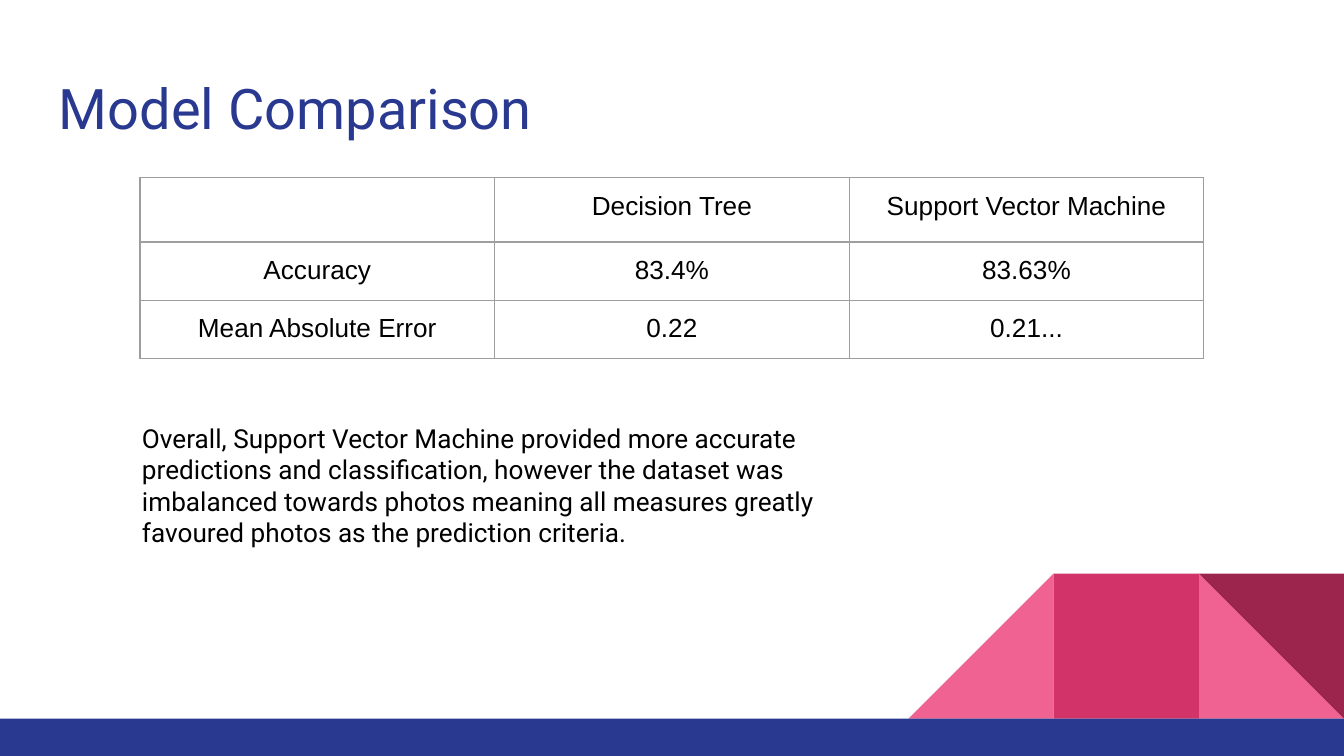
from lxml.etree import SubElement
from pptx import Presentation
from pptx.dml.color import RGBColor
from pptx.enum.shapes import MSO_SHAPE as Shape
from pptx.enum.text import MSO_ANCHOR as Anchor, PP_ALIGN as Align
from pptx.oxml.ns import qn
from pptx.util import Pt

WHITE = RGBColor(0xFF, 0xFF, 0xFF)
BLACK = RGBColor(0x00, 0x00, 0x00)
NAVY = RGBColor(0x2A, 0x39, 0x90)
PINK = RGBColor(0xF0, 0x62, 0x92)
ROSE = RGBColor(0xD2, 0x33, 0x69)
MAROON = RGBColor(0x9C, 0x25, 0x4D)
GRAY = RGBColor(0x9E, 0x9E, 0x9E)

SLIDE_W, SLIDE_H = Pt(720), Pt(405)
INSET = Pt(7.2)
SCORES = [
    ["", "Decision Tree", "Support Vector Machine"],
    ["Accuracy", "83.4%", "83.63%"],
    ["Mean Absolute Error", "0.22", "0.21..."],
]
CONCLUSION = (
    "Overall, Support Vector Machine provided more accurate predictions and "
    "classification, however the dataset was imbalanced towards photos meaning "
    "all measures greatly favoured photos as the prediction criteria."
)


def set_font(font, name, size, color):
    font.name, font.size, font.color.rgb = name, Pt(size), color


def add_block(slide, kind, left, top, width, height, color, rotation=0):
    block = slide.shapes.add_shape(kind, left, top, width, height)
    block.shadow.inherit = False
    block.fill.solid()
    block.fill.fore_color.rgb = color
    block.line.fill.background()
    block.rotation = rotation


def add_decoration(slide, left, top, side):
    """Three square tiles in a row, the last one split along its diagonal."""
    tiles = [
        (2, Shape.RIGHT_TRIANGLE, PINK, 0),
        (0, Shape.RIGHT_TRIANGLE, PINK, 270),
        (1, Shape.RECTANGLE, ROSE, 0),
        (2, Shape.RIGHT_TRIANGLE, MAROON, 180),
    ]
    for column, kind, color, rotation in tiles:
        add_block(slide, kind, left + column * side, top, side, side, color, rotation)


def add_text(slide, left, top, width, height, text, size, color):
    frame = slide.shapes.add_textbox(left, top, width, height).text_frame
    frame.word_wrap = True
    frame.vertical_anchor = Anchor.TOP
    frame.margin_left = frame.margin_right = INSET
    frame.margin_top = frame.margin_bottom = INSET
    paragraph = frame.paragraphs[0]
    paragraph.text = text
    set_font(paragraph.font, "Roboto", size, color)


def add_borders(cell):
    properties = cell._tc.get_or_add_tcPr()
    for position, side in enumerate(("a:lnL", "a:lnR", "a:lnT", "a:lnB")):
        border = SubElement(properties, qn(side), w=str(Pt(0.75)))
        fill = SubElement(border, qn("a:solidFill"))
        SubElement(fill, qn("a:srgbClr"), val=str(GRAY))
        properties.insert(position, border)


def add_score_table(slide, left, top, width, row_heights):
    columns = len(SCORES[0])
    table = slide.shapes.add_table(
        len(SCORES), columns, left, top, width, sum(row_heights)
    ).table
    table.first_row = table.horz_banding = False
    for column in table.columns:
        column.width = width // columns
    for row, height, labels in zip(table.rows, row_heights, SCORES):
        row.height = height
        for cell, label in zip(row.cells, labels):
            cell.fill.solid()
            cell.fill.fore_color.rgb = WHITE
            cell.margin_left = cell.margin_right = INSET
            cell.margin_top = cell.margin_bottom = INSET
            paragraph = cell.text_frame.paragraphs[0]
            paragraph.text = label
            paragraph.alignment = Align.CENTER
            set_font(paragraph.font, "Arial", 14, BLACK)
            add_borders(cell)


def add_comparison_slide(deck):
    slide = deck.slides.add_slide(deck.slide_layouts[6])
    tile, bar_top = Pt(77.75), Pt(385)
    add_decoration(slide, SLIDE_W - 3 * tile, bar_top - tile, tile)
    add_block(slide, Shape.RECTANGLE, 0, bar_top, SLIDE_W, SLIDE_H - bar_top, NAVY)
    add_text(slide, Pt(24.5), Pt(32.4), Pt(671), Pt(47.5), "Model Comparison", 30, NAVY)
    add_score_table(slide, Pt(75), Pt(95.3), Pt(570), [Pt(34.4), Pt(30), Pt(30)])
    add_text(slide, Pt(69), Pt(219), Pt(412), Pt(102), CONCLUSION, 14, BLACK)


def main():
    deck = Presentation()
    deck.slide_width, deck.slide_height = SLIDE_W, SLIDE_H
    add_comparison_slide(deck)
    deck.save("out.pptx")


if __name__ == "__main__":
    main()
